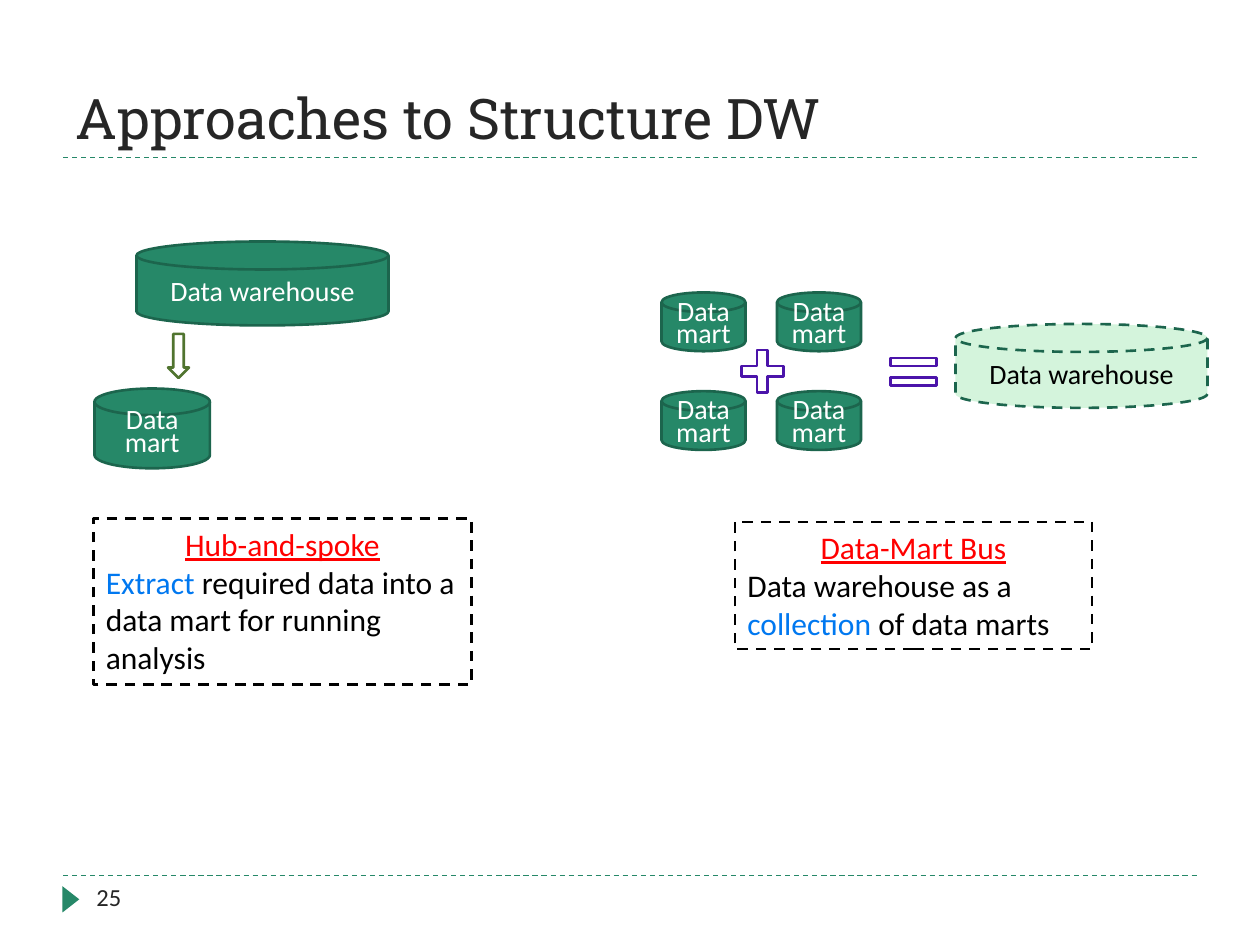
from lxml import etree
from pptx import Presentation
from pptx.dml.color import RGBColor
from pptx.enum.dml import MSO_LINE
from pptx.enum.shapes import MSO_CONNECTOR, MSO_SHAPE
from pptx.enum.text import MSO_ANCHOR, MSO_AUTO_SIZE, PP_ALIGN
from pptx.oxml.ns import qn
from pptx.util import Inches, Pt

DASH = MSO_LINE.DASH
STRAIGHT = MSO_CONNECTOR.STRAIGHT
DISK = MSO_SHAPE.FLOWCHART_MAGNETIC_DISK
RECT, TRIANGLE = MSO_SHAPE.RECTANGLE, MSO_SHAPE.ISOSCELES_TRIANGLE
ARROW, PLUS, EQUAL = MSO_SHAPE.RIGHT_ARROW, MSO_SHAPE.CROSS, MSO_SHAPE.MATH_EQUAL
TOP, MIDDLE, BOTTOM = MSO_ANCHOR.TOP, MSO_ANCHOR.MIDDLE, MSO_ANCHOR.BOTTOM
LEFT, CENTER = PP_ALIGN.LEFT, PP_ALIGN.CENTER
FIT_SHAPE, NO_FIT = MSO_AUTO_SIZE.SHAPE_TO_FIT_TEXT, MSO_AUTO_SIZE.NONE

HEAD_FONT, BODY_FONT = "Roboto Slab", "Calibri"
COLORS = {
    "green": "268868", "edge": "1C654D", "mint": "D4F4DC", "olive": "50742F",
    "purple": "4B14AA", "red": "FF0000", "blue": "0078F0", "ink": "262626",
    "black": "000000", "white": "FFFFFF",
}
TITLE_ONLY = 5
WIDTH, HEIGHT = Inches(10), Inches(7.5)
COLS, ROWS = 120, 90  # grid cells of 1/12 inch


def rgb(name):
    return RGBColor.from_string(COLORS[name])


def box(col, row, cols, rows):
    """Turn grid cells into left, top, width and height."""
    return (round(WIDTH * col / COLS), round(HEIGHT * row / ROWS),
            round(WIDTH * cols / COLS), round(HEIGHT * rows / ROWS))


def style_font(font, size, color, name=BODY_FONT):
    font.name, font.size = name, Pt(size)
    font.color.rgb = rgb(color)


def add_rule(s, row):
    """Dashed rule across the slide."""
    left, top, width, _ = box(6, row, 108, 0)
    line = s.shapes.add_connector(STRAIGHT, left, top, left + width, top)
    line.line.color.rgb = rgb("green")
    line.line.width = Pt(0.75)
    line.line.dash_style = DASH
    etree.SubElement(line._element.spPr, qn("a:effectLst"))


def add_figure(s, kind, cells, fill=None, line=None, dashed=False,
               adjust=(), rotation=0):
    sp = s.shapes.add_shape(kind, *box(*cells))
    sp.shadow.inherit = False
    sp.rotation = rotation
    for i, value in enumerate(adjust):
        sp.adjustments[i] = value
    if fill:
        sp.fill.solid()
        sp.fill.fore_color.rgb = rgb(fill)
    else:
        sp.fill.background()
    if line:
        sp.line.color.rgb = rgb(line)
        sp.line.width = Pt(1.5)
        if dashed:
            sp.line.dash_style = DASH
    else:
        sp.line.fill.background()
    return sp


def add_disk(s, text, cells, fill="green", color="white", dashed=False, spacing=None):
    sp = add_figure(s, DISK, cells, fill, "edge", dashed)
    tf = sp.text_frame
    tf.word_wrap = True
    tf.vertical_anchor = MIDDLE
    p = tf.paragraphs[0]
    p.text = text
    p.alignment = CENTER
    if spacing:
        p.line_spacing = Pt(spacing)
    style_font(p.font, 16, color)


def add_mart(s, cells):
    add_disk(s, "Data mart", cells, spacing=13)


def add_note(s, cells, heading, runs):
    """Dashed box with an underlined heading and a sentence of coloured runs."""
    tf = add_figure(s, RECT, cells, line="black", dashed=True).text_frame
    tf.word_wrap = True
    tf.auto_size = FIT_SHAPE
    tf.vertical_anchor = TOP
    p = tf.paragraphs[0]
    p.text = heading
    p.alignment = CENTER
    style_font(p.font, 18, "red")
    p.font.underline = True
    p = tf.add_paragraph()
    p.alignment = LEFT
    style_font(p.font, 18, "black")
    for text, color in runs:
        r = p.add_run()
        r.text = text
        r.font.color.rgb = rgb(color)


def add_title(s, text):
    title = s.shapes.title
    title.left, title.top, title.width, title.height = box(6, 3, 108, 12)
    tf = title.text_frame
    tf.auto_size = NO_FIT
    tf.vertical_anchor = BOTTOM
    p = tf.paragraphs[0]
    p.text = text
    p.alignment = LEFT
    style_font(p.font, 32, "ink", HEAD_FONT)


def add_page_number(s, number):
    add_figure(s, TRIANGLE, (5.5, 84.85, 2.5, 1.6), "green", rotation=90)
    tf = s.shapes.add_textbox(*box(8, 83.4, 26, 4.8)).text_frame
    tf.word_wrap = True
    p = tf.paragraphs[0]
    p.text = number
    style_font(p.font, 14, "ink")


def main():
    prs = Presentation()
    prs.slide_width, prs.slide_height = WIDTH, HEIGHT
    s = prs.slides.add_slide(prs.slide_layouts[TITLE_ONLY])

    # Frame of the slide
    for row in (83.4, 15):
        add_rule(s, row)
    add_title(s, "Approaches to Structure DW")
    add_page_number(s, "25")

    # Hub-and-spoke: the warehouse feeds a mart
    add_disk(s, "Data warehouse", (13, 23, 24, 8))
    add_mart(s, (9, 37, 11, 7.6))
    add_figure(s, ARROW, (14.9, 32.9, 4.2, 2), "white", "olive", rotation=90)
    add_note(s, (8.9, 49.4, 36, 15.8), "Hub-and-spoke",
             [("Extract", "blue"),
              (" required data into a data mart for running analysis", "black")])

    # Data-mart bus: the marts add up to the warehouse
    for row in (27.85, 37.25):
        for col in (63, 74):
            add_mart(s, (col, row, 8, 5.6))
    add_figure(s, PLUS, (70.6, 33.35, 4, 4), "white", "purple", adjust=[0.376])
    add_figure(s, EQUAL, (84, 32.9, 6, 5), "white", "purple", adjust=[0.152, 0.218])
    add_disk(s, "Data warehouse", (91, 30.85, 24, 8), "mint", "black", dashed=True)
    add_note(s, (70, 49.7, 34, 12.1), "Data-Mart Bus",
             [("Data warehouse as a ", "black"), ("collection", "blue"),
              (" of data marts", "black")])

    prs.save("out.pptx")


if __name__ == "__main__":
    main()
